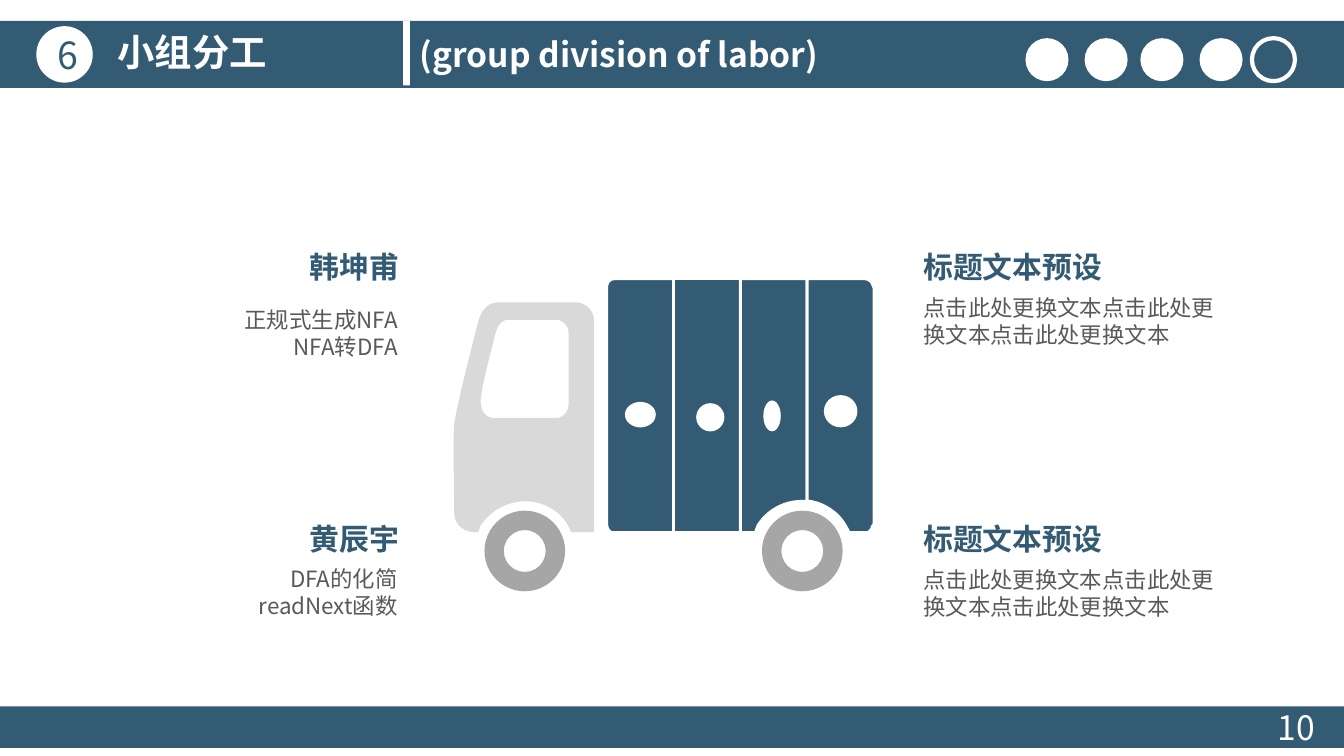
from lxml import etree
from pptx import Presentation
from pptx.dml.color import RGBColor
from pptx.enum.shapes import MSO_SHAPE
from pptx.enum.text import MSO_ANCHOR, MSO_AUTO_SIZE, PP_ALIGN
from pptx.oxml.ns import qn
from pptx.util import Inches, Pt

RECT, OVAL, DONUT = MSO_SHAPE.RECTANGLE, MSO_SHAPE.OVAL, MSO_SHAPE.DONUT
LEFT, CENTER, RIGHT = PP_ALIGN.LEFT, PP_ALIGN.CENTER, PP_ALIGN.RIGHT
TOP, MIDDLE = MSO_ANCHOR.TOP, MSO_ANCHOR.MIDDLE
GROW, FIXED = MSO_AUTO_SIZE.SHAPE_TO_FIT_TEXT, MSO_AUTO_SIZE.NONE

THEME = {
    "font": "Noto Sans CJK SC",
    "navy": RGBColor.from_string("335B74"),
    "white": RGBColor.from_string("FFFFFF"),
    "body": RGBColor.from_string("595959"),
    "cab": RGBColor.from_string("D9D9D9"),
    "wheel": RGBColor.from_string("A6A6A6"),
    "title_size": Pt(20), "bar_size": Pt(18), "head_size": Pt(16), "body_size": Pt(12),
    "ring": Pt(2.25), "seam": Pt(1.5),
}

prs = Presentation()
prs.slide_width = Inches(10)
prs.slide_height = prs.slide_width * 9 // 16
s = prs.slides.add_slide(prs.slide_layouts[6])
COL = ROW = prs.slide_width / 100


def write(sp, lines, size, color, bold=False, align=LEFT, **frame):
    tf = sp.text_frame
    for name, value in frame.items():
        setattr(tf, name, value)
    for i, line in enumerate(lines):
        p = tf.paragraphs[0] if i == 0 else tf.add_paragraph()
        p.alignment = align
        r = p.add_run()
        r.text = line
        for name, value in {"name": THEME["font"], "size": THEME[size], "bold": bold}.items():
            setattr(r.font, name, value)
        r.font.color.rgb = THEME[color]
        etree.SubElement(r.font._element, qn("a:ea"), typeface=THEME["font"])


def outline(rings, fill, seam=False):
    fb = None
    for ring in rings:
        pts = [ring[0]]
        for step in ring[1:]:
            if len(step) == 2:
                pts.append(step)
                continue
            x0, y0 = pts[-1]
            x1, y1, x2, y2, x3, y3 = step
            for t in (i / 12 for i in range(1, 13)):
                u = 1 - t
                a, b, c, d = u**3, 3 * u * u * t, 3 * u * t * t, t**3
                pts.append((a * x0 + b * x1 + c * x2 + d * x3, a * y0 + b * y1 + c * y2 + d * y3))
        pts = [(x * COL, y * ROW) for x, y in pts]
        if fb is None:
            fb = s.shapes.build_freeform(*pts[0], scale=1.0)
        else:
            fb.move_to(*pts[0])
        fb.add_line_segments(pts[1:], close=True)
    sp = fb.convert_to_shape()
    sp.shadow.inherit = False
    sp.fill.solid()
    sp.fill.fore_color.rgb = THEME[fill]
    if seam:
        sp.line.color.rgb = THEME["white"]
        sp.line.width = THEME["seam"]
    else:
        sp.line.fill.background()


seams = [45.15 + 4.97 * i for i in range(5)]
a, b, c, d, e = seams
top, base, arch = 20.75, 39.63, 37.3
outline([[(b, top), (c, top), (c, base), (b, base)]], "navy", True)
outline([[(c, top), (d, top), (d, arch), (59.7, arch), (58.3, arch, 57.1, 38, 56.4, 39.1),
          (56.2, base), (c, base)]], "navy", True)
outline([[(d, top), (64.3, top), (64.6, top, 64.8, 20.9, 64.9, 21.1), (e, 21.4), (e, 39),
          (64.9, 39.2), (64.9, 39.4, 64.7, 39.5, 64.6, base), (63.2, base), (62.9, 39.1),
          (62.4, 38.2, 61.4, 37.5, 60.3, arch), (d, arch)]], "navy", True)
outline([[(45.7, top), (b, top), (b, base), (45.5, base), (45.3, 39.5, a, 39.3, a, 39),
          (a, 21.4), (a, 21, 45.4, top, 45.7, top)]], "navy", True)

cab = [(33.8, 38.2), (33.8, 39, 34.5, 39.6, 35.3, 39.6), (35.6, 39.6),
       (35.6, 39.5, 35.7, 39.4, 35.7, 39.2), (36.4, 38.1, 37.6, 37.3, 39.1, 37.3),
       (40.6, 37.3, 42, 38.2, 42.5, 39.6), (44.2, 39.6), (44.2, 23.9),
       (44.2, 23.1, 43.6, 22.5, 42.8, 22.5), (37.1, 22.5), (36.3, 22.5, 35.8, 23.1, 35.6, 23.9),
       (35.6, 23.9, 34.1, 29.6, 33.8, 31.5), (33.7, 32.2, 33.8, 38.2, 33.8, 38.2)]
window = [(35.8, 29.5), (35.9, 28.4, 36.9, 24.7, 36.9, 24.7), (37, 24.3, 37.3, 23.8, 37.8, 23.8),
          (41.4, 23.8), (41.9, 23.8, 42.3, 24.3, 42.3, 24.7), (42.3, 30.1),
          (42.3, 30.6, 41.9, 31.1, 41.4, 31.1), (36.7, 31.1),
          (36.2, 31.1, 35.8, 30.6, 35.8, 30.1), (35.8, 30.1, 35.7, 30, 35.8, 29.5)]
outline([cab, window], "cab")

pieces = [(RECT, (0, 1.55, 100, 5), "navy"), (RECT, (0, 52.55, 100, 3.1), "navy"),
          (RECT, (30, 1.55, 0.5, 4.8), "white")]
pieces += [(OVAL, (x, 2.84, 3.2, 3.2), "white") for x in (76.3, 80.7, 84.85, 89.25)]
pieces += [(OVAL, (93.15, 2.84, 3.2, 3.2), None)]
pieces += [(DONUT, (x, 38, 6, 6), "wheel") for x in (36.05, 56.7)]
pieces += [(OVAL, box, "white") for box in
           ((46.5, 29.9, 2.3, 1.9), (51.8, 30, 2.1, 2.1), (56.8, 29.8, 1.3, 2.3),
            (61.3, 29.4, 2.5, 2.4))]
pieces += [(OVAL, (2.7, 1.95, 4.2, 4.2), "white")]
for kind, (x, y, w, h), fill in pieces:
    sp = s.shapes.add_shape(kind, int(x * COL), int(y * ROW), int(w * COL), int(h * ROW))
    sp.shadow.inherit = False
    if kind == DONUT:
        sp.adjustments[0] = 0.24
    if fill:
        sp.fill.solid()
        sp.fill.fore_color.rgb = THEME[fill]
        sp.line.fill.background()
    else:
        sp.fill.background()
        sp.line.color.rgb = THEME["white"]
        sp.line.width = THEME["ring"]
write(sp, ["6"], "title_size", "navy", align=CENTER, vertical_anchor=MIDDLE)

bar = {"color": "white", "auto_size": GROW}
head = {"size": "head_size", "color": "navy", "bold": True, "word_wrap": False,
        "vertical_anchor": TOP}
body = {"size": "body_size", "color": "body", "word_wrap": True, "vertical_anchor": MIDDLE}
tight = {"auto_size": FIXED, "margin_left": int(0.8 * COL), "margin_right": int(0.8 * COL),
         "margin_top": 0, "margin_bottom": 0}

texts = [
    ((94.1, 52.1, 5.9, 4), ["10"], {**bar, "size": "bar_size", "word_wrap": True}),
    ((7.75, 1.7, 13.2, 4.4), ["小组分工"],
     {**bar, "size": "title_size", "bold": True, "word_wrap": False}),
    ((30.25, 2, 33.2, 4), ["(group division of labor)"],
     {**bar, "size": "bar_size", "bold": True, "word_wrap": False}),
]
filler = ["点击此处更换文本点击此处更换文本点击此处更换文本"]
notes = [
    (67.9, 18.5, 21.5, 24.6, LEFT, "标题文本预设", filler),
    (67.9, 38.75, 41.75, 23.3, LEFT, "标题文本预设", filler),
    (6.9, 18.5, 22.4, 23.5, RIGHT, "韩坤甫", ["正规式生成NFA", "NFA转DFA"]),
    (5.7, 38.75, 41.65, 24.7, RIGHT, "黄辰宇", ["DFA的化简", "readNext函数"]),
]
for x, head_y, body_y, w, align, title, lines in notes:
    shift = 0.1 if align == RIGHT else 0
    texts.append(((x + shift, head_y, w, 2), [title], {**head, **tight, "align": align}))
    texts.append(((x, body_y, w, 4.8), lines, {**body, **tight, "align": align}))
for (x, y, w, h), lines, fmt in texts:
    sp = s.shapes.add_textbox(int(x * COL), int(y * ROW), int(w * COL), int(h * ROW))
    write(sp, lines, **fmt)

prs.save("out.pptx")
